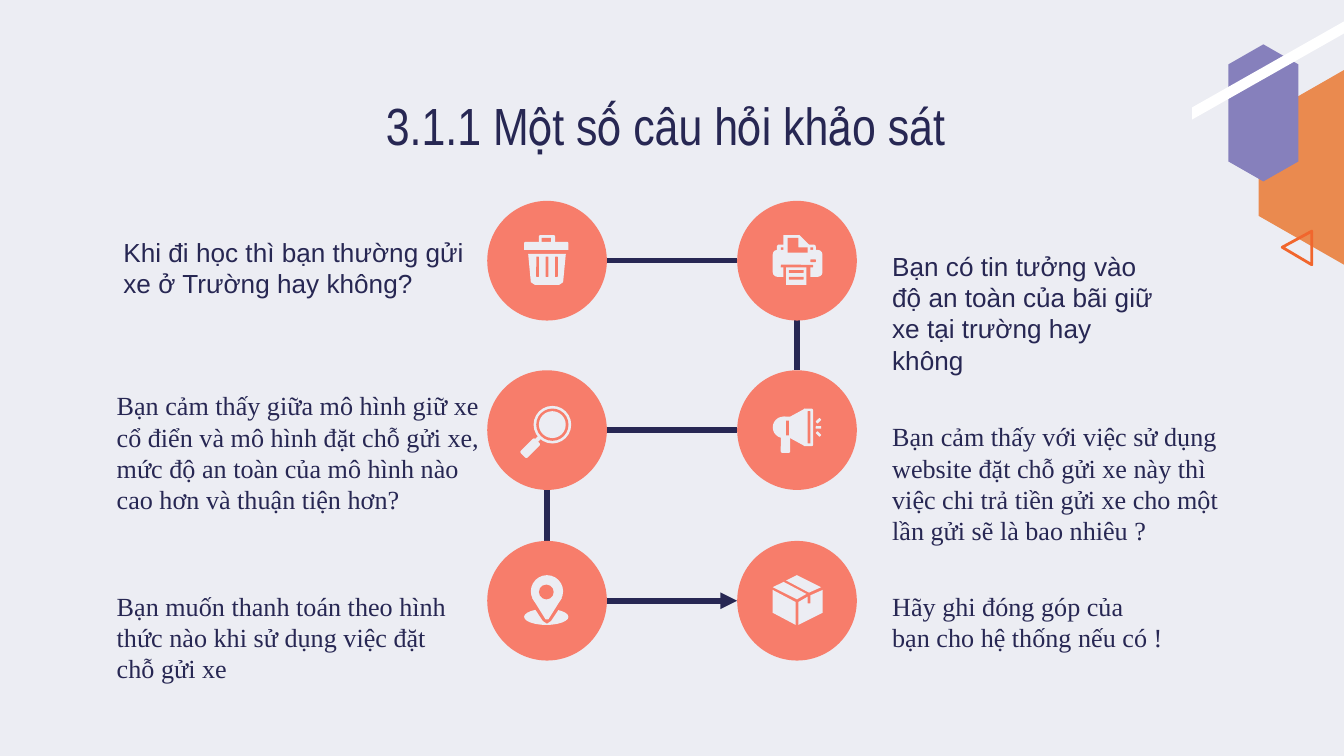
import pptx
import pptx.util
import pptx.oxml
import pptx.oxml.ns
from pptx.dml.color import RGBColor
from pptx.enum.shapes import MSO_CONNECTOR, MSO_SHAPE
from pptx.enum.text import MSO_ANCHOR, MSO_AUTO_SIZE, PP_ALIGN

Inches = pptx.util.Inches
Pt = pptx.util.Pt

THEME = {
    "bg": "ECEDF3", "ink": "272753", "coral": "F77D6B", "orange": "EA8A4F",
    "purple": "8680BC", "flame": "F1662D", "white": "FFFFFF",
    "title_size": 28, "body_size": 14,
    "title_font": "Arial Narrow", "sans": "Arial", "serif": "Times New Roman",
}

# Content
TITLE = "3.1.1 Một số câu hỏi khảo sát "
QUESTIONS = [  # left, top, width, font, text
    (0.82, 1.66, 2.77, "sans", "Khi đi học thì bạn thường gửi xe ở Trường hay không?"),
    (6.54, 1.76, 2.23, "sans",
     "Bạn có tin tưởng vào độ an toàn của bãi giữ xe tại trường hay không"),
    (0.77, 2.8, 2.96, "serif",
     "Bạn cảm thấy giữa mô hình giữ xe cổ điển và mô hình đặt chỗ gửi xe, "
     "mức độ an toàn của mô hình nào cao hơn và thuận tiện hơn?"),
    (6.54, 3.03, 2.76, "serif",
     "Bạn cảm thấy với việc sử dụng website đặt chỗ gửi xe này thì "
     "việc chi trả tiền gửi xe cho một lần gửi sẽ là bao nhiêu ?"),
    (0.77, 4.29, 2.69, "serif",
     "Bạn muốn thanh toán theo hình thức nào khi sử dụng việc đặt chỗ gửi xe"),
    (6.54, 4.29, 2.23, "serif", "Hãy ghi đóng góp của bạn cho hệ thống nếu có !"),
]

# Icon parts, in inches from the circle centre:
# (preset, colour, left, top, width, height, rotation) or ("POLY", colour, points)
TRASH = [
    ("ROUND_2_SAME_RECTANGLE", "bg", -0.06, -0.19, 0.12, 0.06, 0),
    ("RECTANGLE", "coral", -0.04, -0.17, 0.07, 0.03, 0),
    ("ROUND_2_SAME_RECTANGLE", "bg", -0.17, -0.14, 0.33, 0.06, 0),
    ("POLY", "bg", [(-0.14, -0.05), (0.14, -0.05), (0.12, 0.16), (0.09, 0.18),
                    (-0.09, 0.18), (-0.12, 0.16)]),
] + [("ROUNDED_RECTANGLE", "coral", x, -0.03, 0.02, 0.15, 0) for x in (-0.08, -0.01, 0.06)]
PRINTER = [
    ("ROUNDED_RECTANGLE", "bg", -0.15, -0.12, 0.29, 0.1, 0),
    ("RECTANGLE", "coral", -0.12, -0.1, 0.24, 0.02, 0),
    ("ROUNDED_RECTANGLE", "bg", -0.18, -0.08, 0.37, 0.2, 0),
    ("POLY", "bg", [(-0.1, -0.19), (0.02, -0.19), (0.1, -0.11), (0.1, -0.04), (-0.1, -0.04)]),
    ("POLY", "coral", [(-0.07, -0.17), (0.01, -0.17), (0.01, -0.1), (0.08, -0.1),
                       (0.08, -0.06), (-0.07, -0.06)]),
    ("ROUNDED_RECTANGLE", "coral", 0.1, -0.01, 0.04, 0.02, 0),
    ("ROUNDED_RECTANGLE", "coral", -0.12, 0.03, 0.24, 0.02, 0),
    ("RECTANGLE", "coral", -0.1, 0.04, 0.2, 0.09, 0),
    ("RECTANGLE", "bg", -0.08, 0.05, 0.15, 0.13, 0),
] + [("ROUNDED_RECTANGLE", "coral", -0.06, y, 0.11, 0.02, 0) for y in (0.07, 0.12)]
MAGNIFIER = [
    ("RECTANGLE", "bg", -0.12, 0.06, 0.09, 0.03, -45),
    ("ROUNDED_RECTANGLE", "bg", -0.2, 0.1, 0.15, 0.07, -45),
] + [("OVAL", c, 0.04 - r, -0.04 - r, 2 * r, 2 * r, 0)
     for c, r in (("bg", 0.14), ("coral", 0.12), ("bg", 0.1))]
MEGAPHONE = [
    ("OVAL", "bg", -0.18, -0.1, 0.16, 0.16, 0),
    ("ROUNDED_RECTANGLE", "bg", -0.12, 0, 0.07, 0.17, 0),
    ("POLY", "bg", [(-0.1, -0.1), (-0.05, -0.1), (0.06, -0.16), (0.06, 0.12),
                    (-0.05, 0.06), (-0.1, 0.06)]),
    ("RECTANGLE", "coral", -0.08, -0.07, 0.02, 0.11, 0),
    ("ROUNDED_RECTANGLE", "bg", 0.05, -0.16, 0.07, 0.28, 0),
    ("ROUNDED_RECTANGLE", "coral", 0.08, -0.14, 0.02, 0.24, 0),
] + [("ROUNDED_RECTANGLE", "bg", 0.14, y, 0.04, 0.02, a)
     for y, a in ((-0.08, -45), (-0.03, 0), (0.02, 45))]
PIN = [
    ("OVAL", "bg", -0.17, 0.06, 0.33, 0.12, 0),
    ("POLY", "coral", [(-0.13, 0), (0.13, 0), (0.03, 0.15), (0, 0.17), (-0.03, 0.15)]),
    ("OVAL", "bg", -0.12, -0.19, 0.24, 0.24, 0),
    ("POLY", "bg", [(-0.11, -0.02), (0.11, -0.02), (0.01, 0.14), (-0.01, 0.14)]),
    ("OVAL", "coral", -0.06, -0.12, 0.11, 0.11, 0),
]
BOX = [
    ("POLY", "bg", [(-0.1, -0.14), (-0.18, -0.1), (0, -0.01), (0.07, -0.05)]),
    ("POLY", "bg", [(0, -0.19), (-0.08, -0.15), (0.09, -0.06), (0.18, -0.1)]),
    ("POLY", "bg", [(-0.18, -0.08), (-0.01, 0.01), (-0.01, 0.18), (-0.18, 0.09)]),
    ("POLY", "bg", [(0.19, -0.08), (0.1, -0.04), (0.1, 0.02), (0.08, 0.02), (0.08, -0.03),
                    (0.01, 0.01), (0.01, 0.18), (0.19, 0.09)]),
]
ICONS = [[TRASH, PRINTER], [MAGNIFIER, MEGAPHONE], [PIN, BOX]]

# Circle grid and the path through it, as (column, row) pairs
COLS, ROWS, DIAMETER = (4.07, 5.93), (1.94, 3.2, 4.47), 0.89
ROUTE = [((0, 0), (1, 0)), ((1, 0), (1, 1)), ((1, 1), (0, 1)),
         ((0, 1), (0, 2)), ((0, 2), (1, 2))]


def rgb(name):
    return RGBColor.from_string(THEME[name])


def paint(sp, color):
    sp.shadow.inherit = False
    sp.fill.solid()
    sp.fill.fore_color.rgb = rgb(color)
    sp.line.fill.background()
    return sp


def add_preset(s, kind, color, x, y, w, h, rotation=0):
    sp = s.shapes.add_shape(getattr(MSO_SHAPE, kind), *map(Inches, (x, y, w, h)))
    sp.rotation = rotation
    return paint(sp, color)


def add_polygon(s, color, points):
    pts = [(Inches(x), Inches(y)) for x, y in points]
    builder = s.shapes.build_freeform(*pts[0])
    builder.add_line_segments(pts[1:], close=True)
    return paint(builder.convert_to_shape(), color)


def write(sp, text, font, size, align):
    tf = sp.text_frame
    frame = {"word_wrap": True, "auto_size": MSO_AUTO_SIZE.NONE,
             "vertical_anchor": MSO_ANCHOR.TOP}
    frame.update({f"margin_{side}": Inches(0.1) for side in ("left", "top", "right", "bottom")})
    for name, value in frame.items():
        setattr(tf, name, value)
    p = tf.paragraphs[0]
    p.alignment = align
    r = p.add_run()
    r.text = text
    for name, value in {"name": THEME[font], "size": Pt(THEME[size]), "bold": False}.items():
        setattr(r.font, name, value)
    r.font.color.rgb = rgb("ink")


def add_link(s, start, end, arrow):
    (x1, y1), (x2, y2) = [(COLS[c], ROWS[r]) for c, r in (start, end)]
    gap_x, gap_y = [((b > a) - (b < a)) * DIAMETER / 2 for a, b in ((x1, x2), (y1, y2))]
    ends = (x1 + gap_x, y1 + gap_y, x2 - gap_x, y2 - gap_y)
    line = s.shapes.add_connector(MSO_CONNECTOR.STRAIGHT, *map(Inches, ends))
    line.line.color.rgb = rgb("ink")
    line.line.width = Pt(3)
    if arrow:
        tail = pptx.oxml.parse_xml(
            f'<a:tailEnd {pptx.oxml.ns.nsdecls("a")} type="triangle"/>')
        line.line._get_or_add_ln().append(tail)
    line._element.spPr.append(
        pptx.oxml.parse_xml(f'<a:effectLst {pptx.oxml.ns.nsdecls("a")}/>'))


def main():
    prs = pptx.Presentation()
    prs.slide_width = Inches(10)
    prs.slide_height = Inches(10) * 9 // 16
    s = prs.slides.add_slide(prs.slide_layouts[5])
    s.background.fill.solid()
    s.background.fill.fore_color.rgb = rgb("bg")

    # Corner decoration
    for color, *box in (("orange", 9.28, 0.6, 1.46, 1.29), ("purple", 8.89, 0.58, 1.02, 0.52)):
        hexagon = add_preset(s, "HEXAGON", color, *box, 270)
        hexagon.adjustments[0] = 0.286
    triangle = add_polygon(s, "flame", [(9.76, 1.72), (9.54, 1.84), (9.76, 1.97)])
    triangle.fill.background()
    triangle.line.color.rgb = rgb("flame")
    triangle.line.width = Pt(1.5)
    add_polygon(s, "white", [(8.87, 0.8), (10, 0.16), (10, 0.25), (8.87, 0.89)])

    # Title
    title = s.shapes.title
    for name, value in zip(("left", "top", "width", "height"), (0.78, 0.59, 8.43, 0.56)):
        setattr(title, name, Inches(value))
    write(title, TITLE, "title_font", "title_size", PP_ALIGN.CENTER)

    # Questions
    for x, y, w, font, text in QUESTIONS:
        label = s.shapes.add_textbox(*map(Inches, (x, y, w, 0.67)))
        write(label, text, font, "body_size", PP_ALIGN.LEFT)

    # Path, circles and icons
    for start, end in ROUTE:
        add_link(s, start, end, arrow=(start, end) == ROUTE[-1])
    for cy, icons in zip(ROWS, ICONS):
        for cx, icon in zip(COLS, icons):
            half = DIAMETER / 2
            add_preset(s, "OVAL", "coral", cx - half, cy - half, DIAMETER, DIAMETER)
            for kind, color, *geometry in icon:
                if kind == "POLY":
                    add_polygon(s, color, [(cx + x, cy + y) for x, y in geometry[0]])
                else:
                    x, y, w, h, rotation = geometry
                    add_preset(s, kind, color, cx + x, cy + y, w, h, rotation)

    prs.save("out.pptx")


if __name__ == "__main__":
    main()
